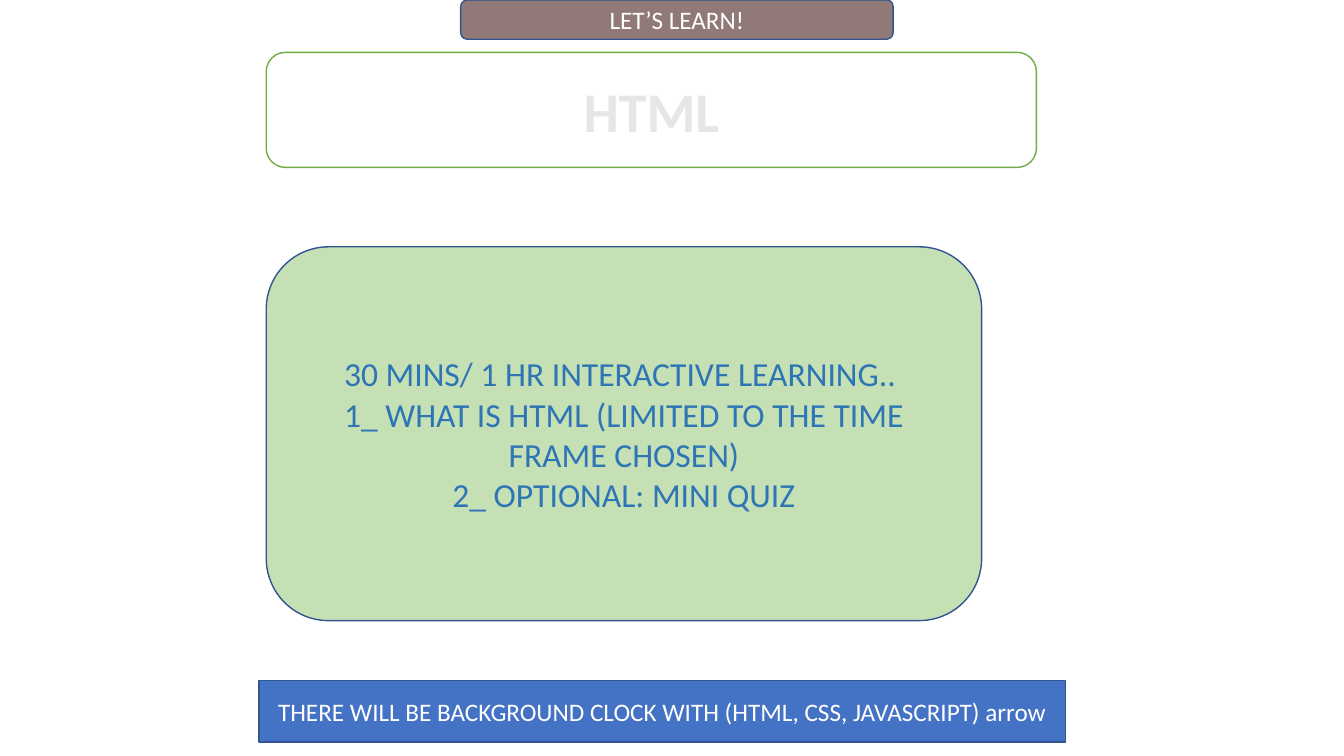
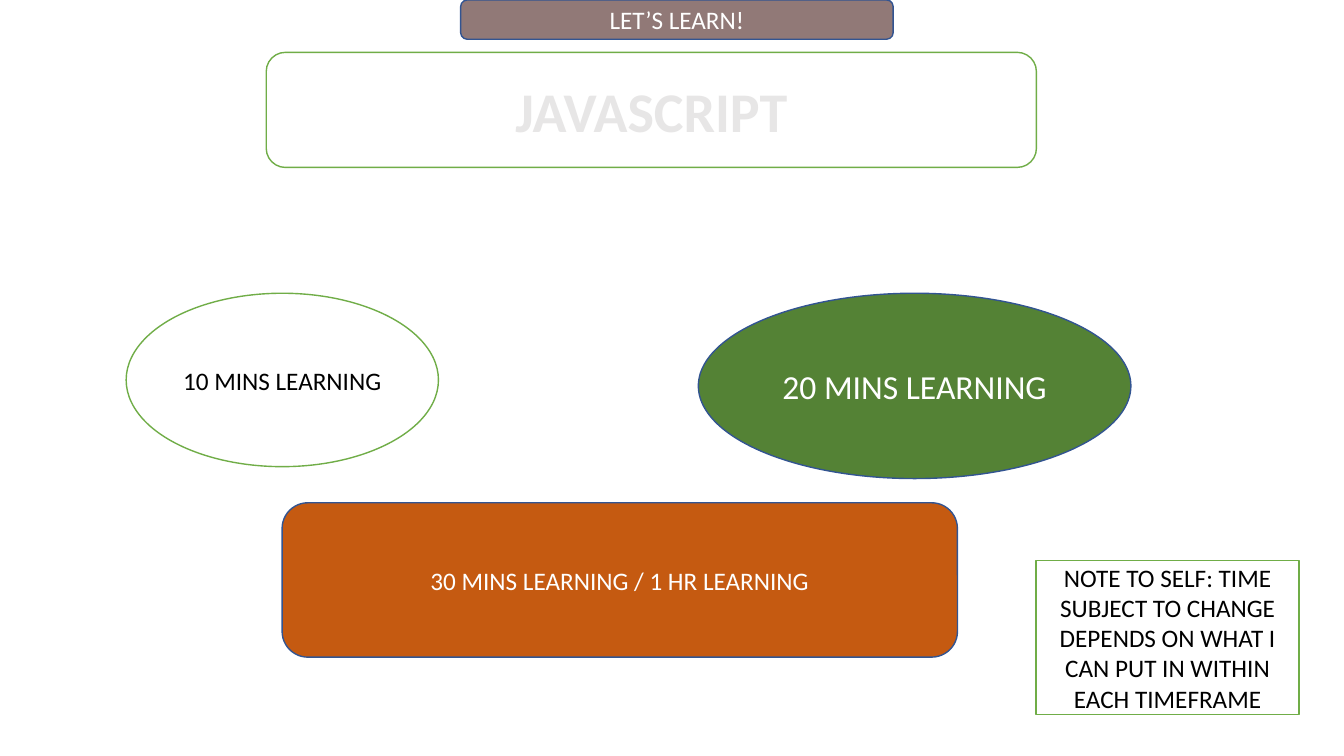
from dataclasses import dataclass

from pptx import Presentation
from pptx.dml.color import RGBColor
from pptx.enum.shapes import MSO_SHAPE as Preset
from pptx.enum.text import MSO_ANCHOR as Anchor, PP_ALIGN as Align
from pptx.util import Cm, Pt

FONT = "Calibri"
COLORS = {
    "white": "FFFFFF",
    "black": "000000",
    "pale_gray": "E7E6E6",
    "mauve": "917977",
    "blue": "4472C4",
    "navy": "325491",
    "text_blue": "2E75B6",
    "line_green": "70AD47",
    "light_green": "C5E0B4",
    "dark_green": "548235",
    "orange": "C55A11",
}


@dataclass(frozen=True)
class Panel:
    """A filled, outlined shape with centred text; lengths in centimetres."""
    preset: Preset
    left: float
    top: float
    width: float
    height: float
    lines: tuple[str, ...]
    fill: str = "white"
    outline: str = "navy"
    color: str = "white"
    size: int = 18
    bold: bool = False


def rgb(name: str) -> RGBColor:
    return RGBColor.from_string(COLORS[name])


def write_text(frame, lines: tuple[str, ...], *, size: int, color: str, bold: bool) -> None:
    frame.word_wrap = True
    frame.vertical_anchor = Anchor.MIDDLE
    for index, line in enumerate(lines):
        paragraph = frame.add_paragraph() if index else frame.paragraphs[0]
        paragraph.alignment = Align.CENTER
        run = paragraph.add_run()
        run.text = line
        run.font.name = FONT
        run.font.size = Pt(size)
        run.font.bold = bold
        run.font.color.rgb = rgb(color)


def draw_panel(slide, panel: Panel) -> None:
    shape = slide.shapes.add_shape(
        panel.preset, Cm(panel.left), Cm(panel.top), Cm(panel.width), Cm(panel.height))
    shape.shadow.inherit = False
    shape.fill.solid()
    shape.fill.fore_color.rgb = rgb(panel.fill)
    shape.line.color.rgb = rgb(panel.outline)
    shape.line.width = Pt(1)
    write_text(shape.text_frame, panel.lines,
               size=panel.size, color=panel.color, bold=panel.bold)


# Shared header: badge at the top edge and the topic title below it
BADGE = Panel(Preset.ROUNDED_RECTANGLE, 11.61, 0, 10.9, 0.99, ("LET’S LEARN!",), fill="mauve")


def topic_title(topic: str) -> Panel:
    return Panel(Preset.ROUNDED_RECTANGLE, 6.71, 1.32, 19.41, 2.9, (topic,),
                 outline="line_green", color="pale_gray", size=40, bold=True)


# Slide content by topic
TOPICS = {
    "HTML": (
        Panel(Preset.RECTANGLE, 6.53, 17.15, 20.32, 1.55,
              ("THERE WILL BE BACKGROUND CLOCK WITH (HTML, CSS, JAVASCRIPT) arrow",),
              fill="blue"),
        Panel(Preset.ROUNDED_RECTANGLE, 6.71, 6.22, 18.03, 9.42,
              ("30 MINS/ 1 HR INTERACTIVE LEARNING.. ",
               "1_ WHAT IS HTML (LIMITED TO THE TIME FRAME CHOSEN)",
               "2_ OPTIONAL: MINI QUIZ"),
              fill="light_green", color="text_blue", size=24),
    ),
    "JAVASCRIPT": (
        Panel(Preset.OVAL, 3.18, 7.39, 7.87, 4.37, ("10 MINS LEARNING",),
              outline="line_green", color="black"),
        Panel(Preset.ROUNDED_RECTANGLE, 7.11, 12.67, 17.02, 3.89,
              ("30 MINS LEARNING / 1 HR LEARNING",), fill="orange"),
        Panel(Preset.OVAL, 17.6, 7.39, 10.9, 4.67, ("20 MINS LEARNING",),
              fill="dark_green", size=24),
        Panel(Preset.RECTANGLE, 26.11, 14.12, 6.63, 3.89,
              ("NOTE TO SELF: TIME SUBJECT TO CHANGE DEPENDS ON WHAT I "
               "CAN PUT IN WITHIN EACH TIMEFRAME",),
              outline="line_green", color="black"),
    ),
}


def main() -> None:
    presentation = Presentation()
    presentation.slide_width = Cm(33.87)
    presentation.slide_height = Cm(19.05)
    blank = presentation.slide_layouts[6]
    for topic, panels in TOPICS.items():
        slide = presentation.slides.add_slide(blank)
        for panel in (topic_title(topic), BADGE, *panels):
            draw_panel(slide, panel)
    presentation.save("out.pptx")


if __name__ == "__main__":
    main()
